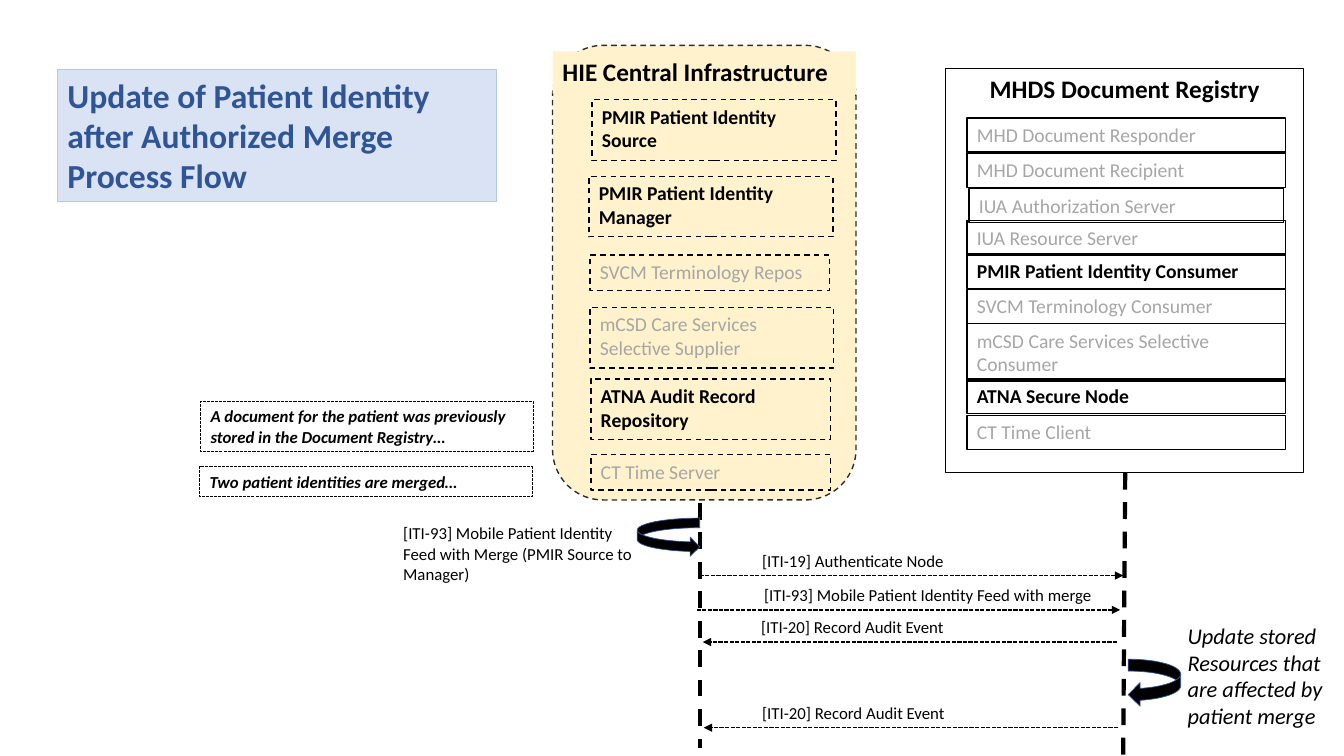
"""Build the process flow slide for updating patient identity after an authorized merge."""
from dataclasses import dataclass
from typing import Optional

import lxml.etree
import pptx
import pptx.dml.color
import pptx.enum.dml
import pptx.enum.shapes
import pptx.enum.text
import pptx.oxml.ns
import pptx.util

Inches = pptx.util.Inches
Shapes = pptx.enum.shapes.MSO_SHAPE
Dash = pptx.enum.dml.MSO_LINE
Align = pptx.enum.text.PP_ALIGN


@dataclass(frozen=True)
class Theme:
    """Colours, font and type sizes of the slide."""
    font: str = "Calibri"
    black: str = "000000"
    muted: str = "A6A6A6"
    white: str = "FFFFFF"
    cream: str = "FFF2CC"
    title_fill: str = "DAE3F3"
    title_line: str = "B4C7E7"
    title_text: str = "2F5597"
    loop_line: str = "325491"
    title_size: int = 24
    heading_size: int = 18
    remark_size: int = 16
    actor_size: int = 14
    label_size: int = 12


THEME = Theme()


@dataclass(frozen=True)
class Box:
    """A shape with optional fill, outline and text."""
    left: float
    top: float
    width: float
    height: float
    text: str = ""
    size: int = THEME.label_size
    color: str = THEME.black
    bold: bool = False
    italic: bool = False
    align: Align = Align.LEFT
    fill: Optional[str] = None
    line: Optional[str] = None
    line_width: float = 1
    dash: Optional[Dash] = None
    preset: Shapes = Shapes.RECTANGLE


@dataclass(frozen=True)
class Actor:
    """An actor row; active ones take part in this flow."""
    text: str
    left: float
    top: float
    width: float
    height: float
    active: bool = False


@dataclass(frozen=True)
class Message:
    """A labelled arrow between the two lifelines."""
    text: str
    start: float
    end: float
    y: float
    label_left: float
    label_width: float


def rgb(color: str) -> pptx.dml.color.RGBColor:
    """Turn a hexadecimal string into a colour."""
    return pptx.dml.color.RGBColor.from_string(color)


def add_element(parent, tag: str, **attributes: str):
    """Append a DrawingML element."""
    return lxml.etree.SubElement(parent, pptx.oxml.ns.qn(tag), **attributes)


def write_text(shape, box: Box) -> None:
    """Fill a text frame, one paragraph for each line of text."""
    frame = shape.text_frame
    frame.word_wrap = True
    frame.vertical_anchor = pptx.enum.text.MSO_ANCHOR.TOP
    frame.text = box.text
    formats = {"name": THEME.font, "size": pptx.util.Pt(box.size),
               "bold": box.bold, "italic": box.italic}
    for paragraph in frame.paragraphs:
        paragraph.alignment = box.align
        for run in paragraph.runs:
            for name, value in formats.items():
                setattr(run.font, name, value)
            run.font.color.rgb = rgb(box.color)


def draw_box(slide, box: Box):
    """Draw one box and return its shape."""
    bounds = [Inches(value) for value in (box.left, box.top, box.width, box.height)]
    if box.fill is None and box.line is None:
        shape = slide.shapes.add_textbox(*bounds)
    else:
        shape = slide.shapes.add_shape(box.preset, *bounds)
        shape.shadow.inherit = False
        if box.fill:
            shape.fill.solid()
            shape.fill.fore_color.rgb = rgb(box.fill)
        else:
            shape.fill.background()
        if box.line:
            shape.line.color.rgb = rgb(box.line)
            shape.line.width = pptx.util.Pt(box.line_width)
            shape.line.dash_style = box.dash
        else:
            shape.line.fill.background()
    if box.text:
        write_text(shape, box)
    return shape


def draw_actor(slide, actor: Actor, fill: Optional[str], dash: Optional[Dash]) -> None:
    """Draw an actor row, muted unless it is active."""
    draw_box(slide, Box(actor.left, actor.top, actor.width, actor.height, actor.text,
                        THEME.actor_size, THEME.black if actor.active else THEME.muted,
                        actor.active, fill=fill, line=THEME.black, dash=dash))


def draw_line(slide, start: tuple[float, float], end: tuple[float, float],
              width: float, dash: Dash, arrow: bool = False) -> None:
    """Draw a dashed straight line, with an arrowhead if asked."""
    connector = slide.shapes.add_connector(
        pptx.enum.shapes.MSO_CONNECTOR.STRAIGHT, *map(Inches, start + end))
    connector.line.color.rgb = rgb(THEME.black)
    connector.line.width = pptx.util.Pt(width)
    connector.line.dash_style = dash
    if arrow:
        add_element(connector.line._get_or_add_ln(), "a:tailEnd", type="triangle")
    add_element(connector._element.spPr, "a:effectLst")


def draw_message(slide, message: Message) -> None:
    """Draw a message arrow with its label just above."""
    draw_line(slide, (message.start, message.y), (message.end, message.y), 1,
              Dash.SQUARE_DOT, arrow=True)
    draw_box(slide, Box(message.label_left, message.y - 0.3, message.label_width, 0.3,
                        message.text))


REGISTRY_ACTORS = [
    Actor("MHD Document Responder", 9.59, 1.17, 3.16, 0.34),
    Actor("MHD Document Recipient", 9.59, 1.52, 3.16, 0.34),
    Actor("IUA Authorization Server", 9.61, 1.87, 3.12, 0.34),
    Actor("IUA Resource Server", 9.59, 2.19, 3.16, 0.34),
    Actor("PMIR Patient Identity Consumer", 9.59, 2.52, 3.16, 0.34, True),
    Actor("SVCM Terminology Consumer", 9.59, 2.87, 3.16, 0.34),
    Actor("mCSD Care Services Selective Consumer", 9.59, 3.21, 3.16, 0.57),
    Actor("ATNA Secure Node", 9.59, 3.76, 3.16, 0.34, True),
    Actor("CT Time Client", 9.59, 4.12, 3.16, 0.34)]
CENTRAL_ACTORS = [
    Actor("PMIR Patient Identity Source", 5.87, 0.99, 2.42, 0.6, True),
    Actor("PMIR Patient Identity Manager", 5.84, 1.75, 2.42, 0.6, True),
    Actor("SVCM Terminology Repos", 5.85, 2.53, 2.38, 0.35),
    Actor("mCSD Care Services Selective Supplier", 5.85, 3.05, 2.42, 0.6),
    Actor("ATNA Audit Record Repository", 5.86, 3.76, 2.38, 0.6, True),
    Actor("CT Time Server", 5.86, 4.51, 2.38, 0.35)]
MESSAGES = [
    Message("[ITI-19] Authenticate Node", 6.94, 11.14, 5.71, 7.46, 3.83),
    Message("[ITI-93] Mobile Patient Identity Feed with merge", 6.91, 11.11, 6.05, 7.48, 3.83),
    Message("[ITI-20] Record Audit Event", 11.08, 6.97, 6.37, 7.45, 2.86),
    Message("[ITI-20] Record Audit Event", 11.09, 6.98, 7.22, 7.46, 2.86)]
TITLE = Box(0.57, 0.69, 4.35, 1.31,
            "Update of Patient Identity after Authorized Merge\nProcess Flow",
            THEME.title_size, THEME.title_text, True, fill=THEME.title_fill,
            line=THEME.title_line, line_width=0.75)
REGISTRY = Box(9.38, 0.68, 3.55, 4.01, "MHDS Document Registry", THEME.heading_size,
               bold=True, align=Align.CENTER, line=THEME.black)
CENTRAL = Box(5.48, 0.45, 3.01, 4.51, fill=THEME.cream, line=THEME.black,
              dash=Dash.DASH, preset=Shapes.ROUNDED_RECTANGLE)
CENTRAL_HEADING = Box(5.48, 0.51, 3.01, 0.42, "HIE Central Infrastructure",
                      THEME.heading_size, bold=True, fill=THEME.cream)
NOTE_STYLE = {"bold": True, "italic": True, "fill": THEME.white, "line": THEME.black,
              "line_width": 0.75, "dash": Dash.SQUARE_DOT}
NOTES = [
    Box(1.99, 3.98, 3.3, 0.5, "A document for the patient was previously stored "
        "in the Document Registry…", **NOTE_STYLE),
    Box(1.98, 4.63, 3.3, 0.3, "Two patient identities are merged…", **NOTE_STYLE)]
REMARKS = [
    Box(3.9, 5.14, 2.79, 0.71, "[ITI-93] Mobile Patient Identity\n"
        "Feed with Merge (PMIR Source to Manager)"),
    Box(11.68, 6.12, 1.69, 1.18, "Update stored Resources that are affected by patient merge",
        THEME.remark_size, italic=True)]
LOOP_STYLE = {"fill": THEME.black, "line": THEME.loop_line, "line_width": 0.5,
              "preset": Shapes.CURVED_RIGHT_ARROW}
MERGE_LOOP = Box(6.32, 5.14, 0.62, 0.38, **LOOP_STYLE)
UPDATE_LOOP = Box(11.19, 6.54, 0.52, 0.47, **LOOP_STYLE)

presentation = pptx.Presentation()
presentation.slide_width, presentation.slide_height = Inches(13.33), Inches(7.5)
slide = presentation.slides.add_slide(presentation.slide_layouts[6])
draw_box(slide, REGISTRY)
for actor in REGISTRY_ACTORS:
    draw_actor(slide, actor, None, None)
draw_line(slide, (11.16, 4.69), (11.14, 7.5), 3, Dash.DASH)
draw_line(slide, (6.94, 4.99), (6.94, 7.42), 3, Dash.DASH)
central = draw_box(slide, CENTRAL)
add_element(central.line._get_or_add_ln().find(".//" + pptx.oxml.ns.qn("a:srgbClr")),
            "a:alpha", val="81000")
for actor in CENTRAL_ACTORS:
    draw_actor(slide, actor, THEME.cream, Dash.DASH)
for box in (CENTRAL_HEADING, TITLE, *NOTES, *REMARKS, MERGE_LOOP):
    draw_box(slide, box)
draw_box(slide, UPDATE_LOOP)._element.spPr.xfrm.set("flipH", "1")
for message in MESSAGES:
    draw_message(slide, message)
presentation.save("out.pptx")
